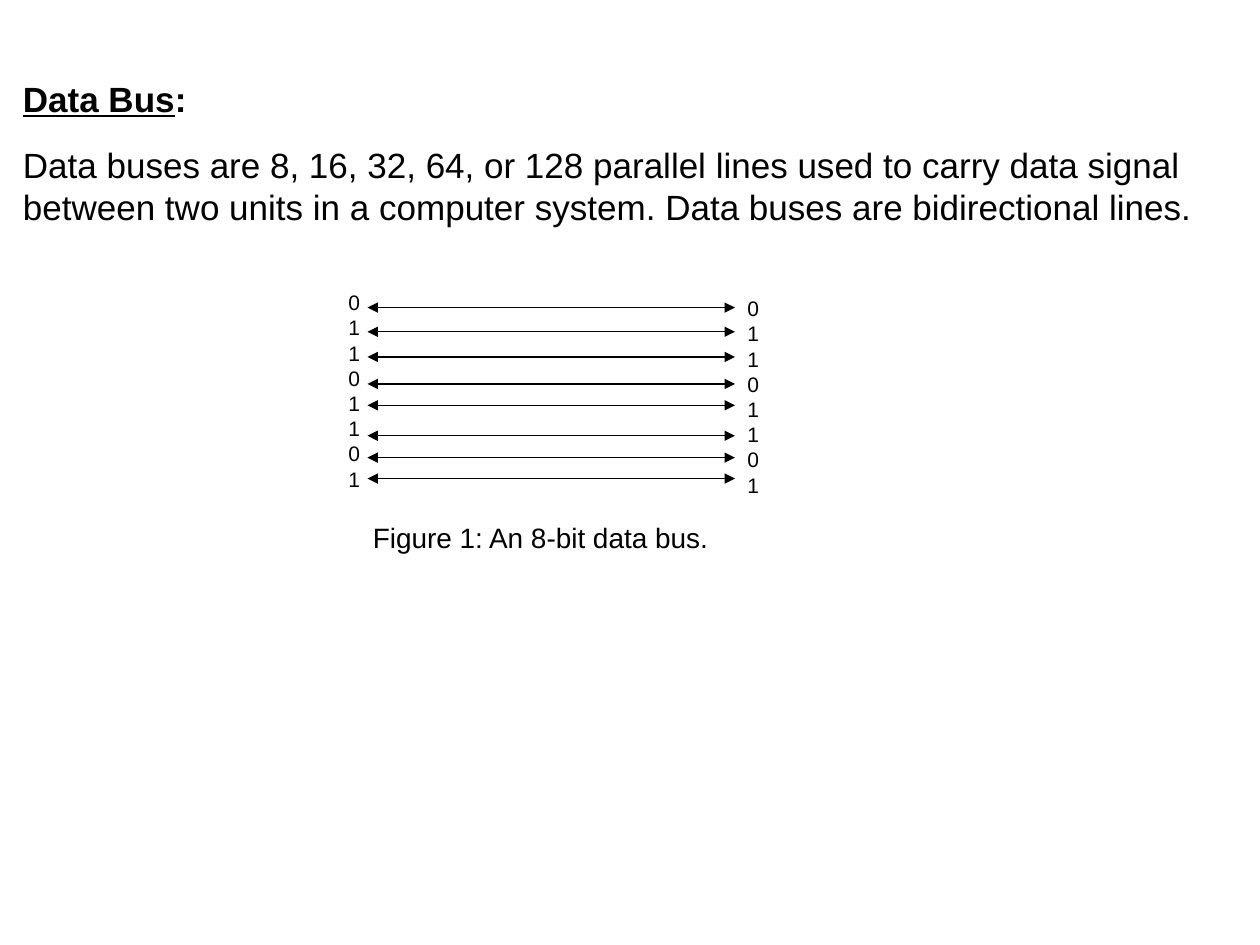
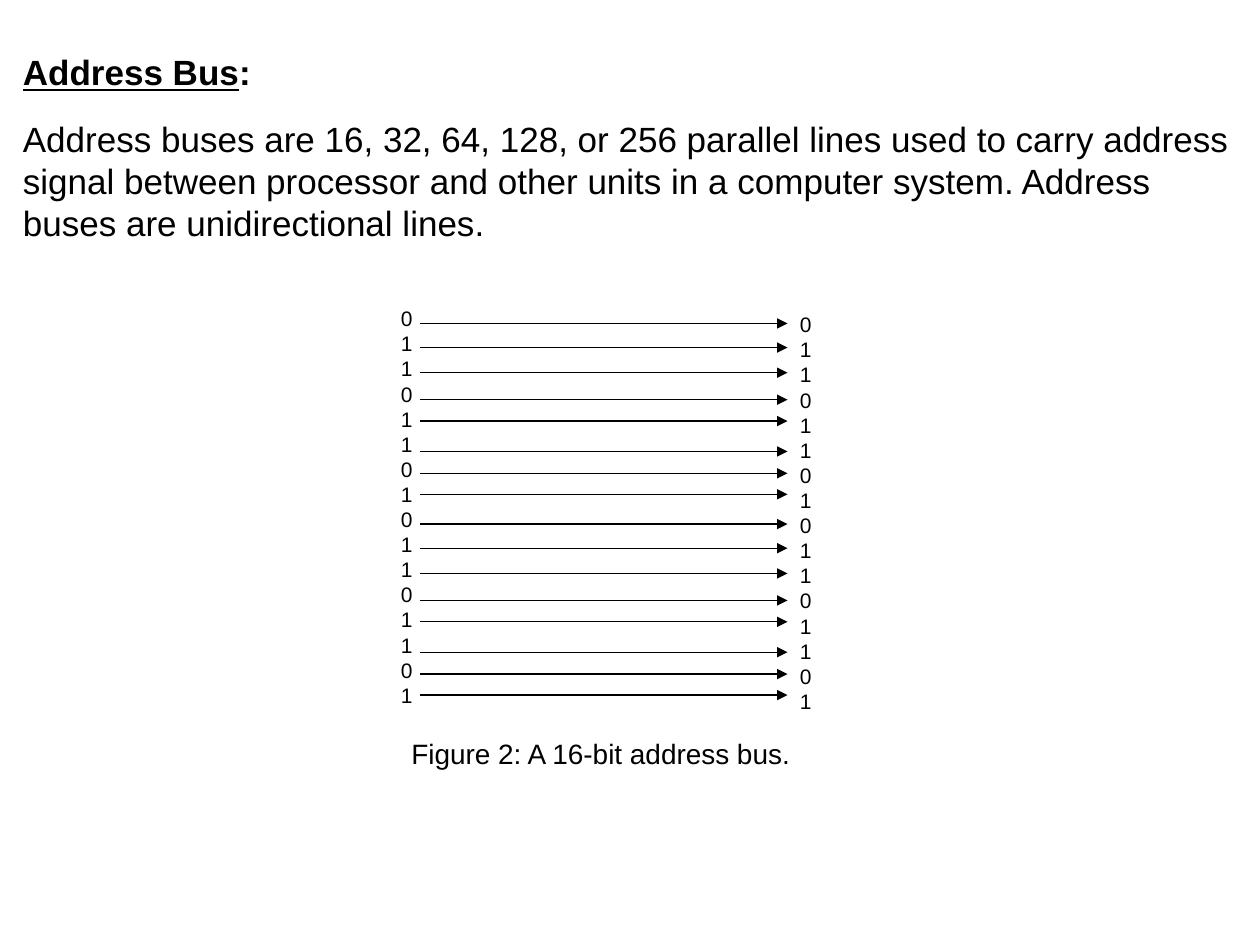
from lxml import etree
from pptx import Presentation
from pptx.dml.color import RGBColor
from pptx.enum import shapes, text
from pptx.oxml.ns import qn
from pptx.util import Pt

# Content
BITS = "01101101"
BUSES = [
    {
        "title": "Data Bus",
        "body": "Data buses are 8, 16, 32, 64, or 128 parallel lines used to carry "
                "data signal between two units in a computer system. Data buses are "
                "bidirectional lines.",
        "intro_box": (6, 30, 714, 114),
        "line_left": 210,
        "bundle_tops": [162],
        "arrow_ends": ["headEnd", "tailEnd"],
        "caption": "Figure 1: An 8-bit data bus.",
        "caption_box": (206, 294, 216, 26.5),
    },
    {
        "title": "Address Bus",
        "body": "Address buses are 16, 32, 64, 128, or 256 parallel lines used to carry "
                "address signal between processor and other units in a computer system. "
                "Address buses are unidirectional lines.",
        "intro_box": (6, 24, 714, 120),
        "line_left": 240,
        "bundle_tops": [171, 285.7],
        "arrow_ends": ["tailEnd"],
        "caption": "Figure 2: A 16-bit address bus.",
        "caption_box": (228, 417.6, 238, 26.5),
    },
]

# Shared style and bundle geometry
FONT, INK = "Arial", "000000"
LINE_LENGTH = 210
LINE_OFFSETS = [13.8, 27.6, 42, 57.4, 69.6, 87, 99.5, 111.5]
DIGIT_WIDTH, DIGIT_HEIGHT = 24, 122.4
DIGIT_INDENT, RIGHT_DROP = 18, 3.5


def color(value):
    return RGBColor.from_string(value)


def add_text(parent, box, paragraphs, size, **frame_format):
    """Each paragraph is a list of (text, font format) runs."""
    shape = parent.add_textbox(*map(Pt, box))
    frame = shape.text_frame
    for name, value in {"word_wrap": True, **frame_format}.items():
        setattr(frame, name, value)
    for index, runs in enumerate(paragraphs):
        paragraph = frame.add_paragraph() if index else frame.paragraphs[0]
        for words, font_format in runs:
            run = paragraph.add_run()
            run.text = words
            run.font.color.rgb = color(INK)
            for name, value in {"name": FONT, "size": Pt(size), **font_format}.items():
                setattr(run.font, name, value)
    return frame


def add_arrow(parent, left, y, ends):
    arrow = parent.add_connector(shapes.MSO_CONNECTOR.STRAIGHT,
                                 Pt(left), Pt(y), Pt(left + LINE_LENGTH), Pt(y))
    arrow.line.color.rgb = color(INK)
    arrow.line.width = Pt(0.75)
    for end in ends:
        etree.SubElement(arrow.line._ln, qn(f"a:{end}"), type="triangle")
    etree.SubElement(arrow._element.spPr, qn("a:effectLst"))


def add_bundle(parent, left, top, ends):
    for offset in LINE_OFFSETS:
        add_arrow(parent, left, top + offset, ends)
    digits = [[(bit, {})] for bit in BITS]
    for x, y in [(left - DIGIT_INDENT, top), (left + LINE_LENGTH, top + RIGHT_DROP)]:
        add_text(parent, (x, y, DIGIT_WIDTH, DIGIT_HEIGHT), digits, 12,
                 auto_size=text.MSO_AUTO_SIZE.SHAPE_TO_FIT_TEXT)


def add_bus_slide(presentation, bus):
    slide = presentation.slides.add_slide(presentation.slide_layouts[6])

    # Heading and definition
    heading = [(bus["title"], {"bold": True, "underline": True}), (":", {"bold": True})]
    intro = add_text(slide.shapes, bus["intro_box"], [heading, [(bus["body"], {})]], 20,
                     vertical_anchor=text.MSO_ANCHOR.MIDDLE)
    intro.paragraphs[1].space_before = Pt(13.8)

    # Figure: line bundles and caption
    figure = slide.shapes.add_group_shape().shapes
    for top in bus["bundle_tops"]:
        add_bundle(figure, bus["line_left"], top, bus["arrow_ends"])
    add_text(figure, bus["caption_box"], [[(bus["caption"], {})]], 16,
             auto_size=text.MSO_AUTO_SIZE.SHAPE_TO_FIT_TEXT)


def main():
    presentation = Presentation()
    presentation.slide_width, presentation.slide_height = Pt(720), Pt(540)
    for bus in BUSES:
        add_bus_slide(presentation, bus)
    presentation.save("out.pptx")


if __name__ == "__main__":
    main()
